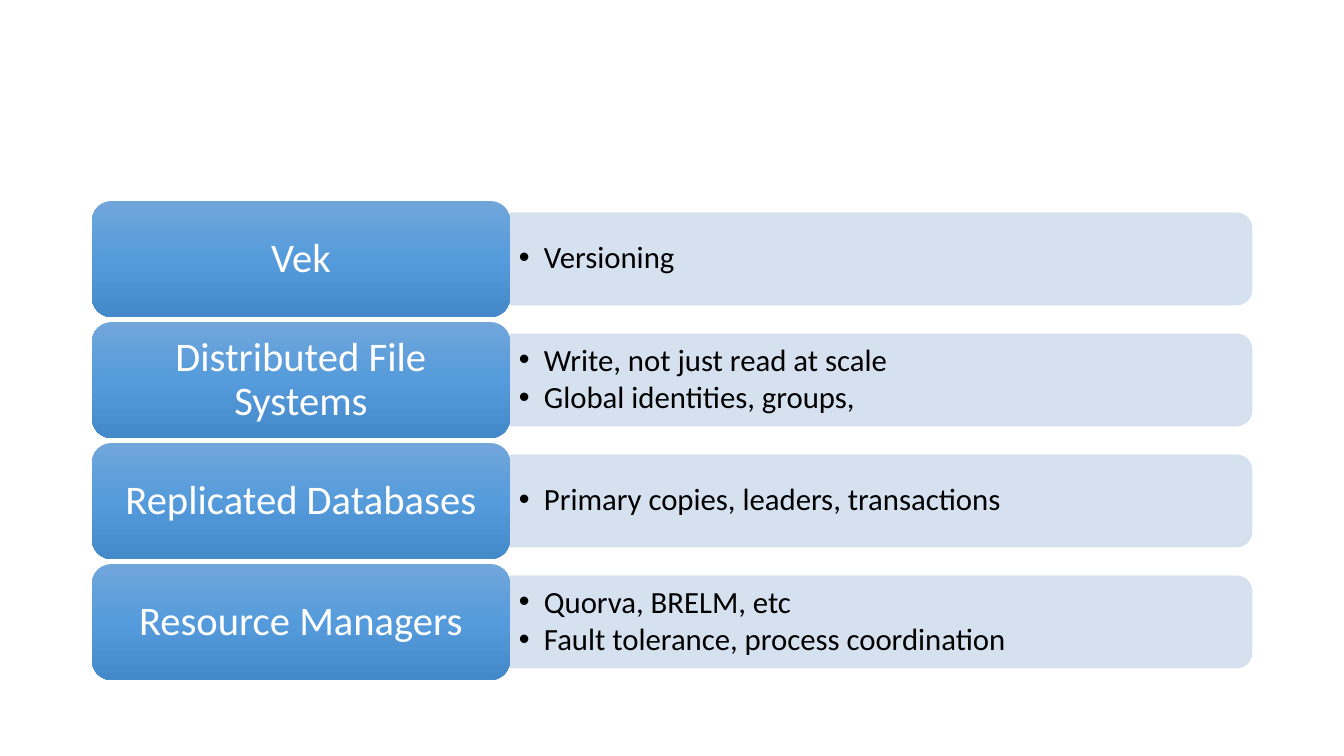
"""Build a slide listing four kinds of distributed systems with their traits."""
from lxml import etree
from pptx import Presentation
from pptx.dml.color import RGBColor
from pptx.enum.shapes import MSO_SHAPE
from pptx.enum.text import MSO_ANCHOR, PP_ALIGN
from pptx.oxml import parse_xml
from pptx.oxml.ns import qn
from pptx.util import Pt

ROUNDED = MSO_SHAPE.ROUNDED_RECTANGLE
TOP_ROUNDED = MSO_SHAPE.ROUND_2_SAME_RECTANGLE
MIDDLE = MSO_ANCHOR.MIDDLE
CENTER = PP_ALIGN.CENTER
LEFT = PP_ALIGN.LEFT

SLIDE_WIDTH, SLIDE_HEIGHT = 1344, 756
EMU_PER_PX = 12192000 / SLIDE_WIDTH

LABEL_LEFT, LABEL_TOP, LABEL_WIDTH, LABEL_HEIGHT = 92, 201, 418, 116
ROW_PITCH = 121
BAR_LEFT = LABEL_LEFT + LABEL_WIDTH
BAR_LENGTH, BAR_THICKNESS = 742, 92
LIST_WIDTH, LIST_HEIGHT = 738, 84
BULLET_INDENT = 25

BAR_COLOR = "D2DEEF"
GRADIENT_STOPS = [(0, "71A6DB"), (50, "559BDB"), (100, "448ACA")]
ROWS = [
    ("Vek", ["Versioning"]),
    ("Distributed File Systems",
     ["Write, not just read at scale", "Global identities, groups,"]),
    ("Replicated Databases", ["Primary copies, leaders, transactions"]),
    ("Resource Managers",
     ["Quorva, BRELM, etc", "Fault tolerance, process coordination"]),
]


def px(*lengths):
    """Turn pixel lengths into EMU."""
    return [round(length * EMU_PER_PX) for length in lengths]


def fill_text(shape, lines, size, color, align, margins):
    """Write the lines into a shape and format every paragraph."""
    frame = shape.text_frame
    frame.word_wrap = True
    frame.vertical_anchor = MIDDLE
    side, edge = px(*margins)
    frame.margin_left = frame.margin_right = side
    frame.margin_top = frame.margin_bottom = edge
    frame.text = "\n".join(lines)
    for para in frame.paragraphs:
        para.alignment = align
        para.line_spacing = 0.9
        para.space_after = Pt(round(size * 0.15, 1))
        font = para.runs[0].font
        font.name = "Calibri"
        font.size = Pt(size)
        font.color.rgb = RGBColor.from_string(color)


deck = Presentation()
deck.slide_width, deck.slide_height = px(SLIDE_WIDTH, SLIDE_HEIGHT)
page = deck.slides.add_slide(deck.slide_layouts[6])

stops_xml = "".join(
    f'<a:gs pos="{percent * 1000}"><a:srgbClr val="{color}"/></a:gs>'
    for percent, color in GRADIENT_STOPS)
gradient_xml = (
    '<a:gradFill xmlns:a="http://schemas.openxmlformats.org/drawingml/2006/main" '
    f'rotWithShape="1"><a:gsLst>{stops_xml}</a:gsLst>'
    '<a:lin ang="5400000" scaled="0"/></a:gradFill>')

for row, (name, traits) in enumerate(ROWS):
    top = LABEL_TOP + row * ROW_PITCH
    middle = top + LABEL_HEIGHT // 2

    bar = page.shapes.add_shape(
        TOP_ROUNDED,
        *px(BAR_LEFT + (BAR_LENGTH - BAR_THICKNESS) // 2,
            middle - BAR_LENGTH // 2, BAR_THICKNESS, BAR_LENGTH))
    bar.rotation = 90
    bar.shadow.inherit = False
    bar.line.width = Pt(0.5)
    for fill in (bar.fill, bar.line.fill):
        fill.solid()
        fill.fore_color.rgb = RGBColor.from_string(BAR_COLOR)
    for tint in bar.element.spPr.iter(qn("a:srgbClr")):
        etree.SubElement(tint, qn("a:alpha"), val="90000")

    trait_list = page.shapes.add_textbox(
        *px(BAR_LEFT, middle - LIST_HEIGHT // 2, LIST_WIDTH, LIST_HEIGHT))
    fill_text(trait_list, traits, 22, "000000", LEFT, (9, 5))
    indent = px(BULLET_INDENT)[0]
    for para in trait_list.text_frame.paragraphs:
        para.level = 1
        properties = para._p.get_or_add_pPr()
        properties.set("marL", str(indent))
        properties.set("indent", str(-indent))
        etree.SubElement(properties, qn("a:buFont"), typeface="Arial")
        etree.SubElement(properties, qn("a:buChar"), char="•")

    label = page.shapes.add_shape(
        ROUNDED, *px(LABEL_LEFT, top, LABEL_WIDTH, LABEL_HEIGHT))
    label.shadow.inherit = False
    label.line.fill.background()
    label.element.spPr.insert(2, parse_xml(gradient_xml))
    fill_text(label, [name], 29, "FFFFFF", CENTER, (17, 12))

deck.save("out.pptx")
